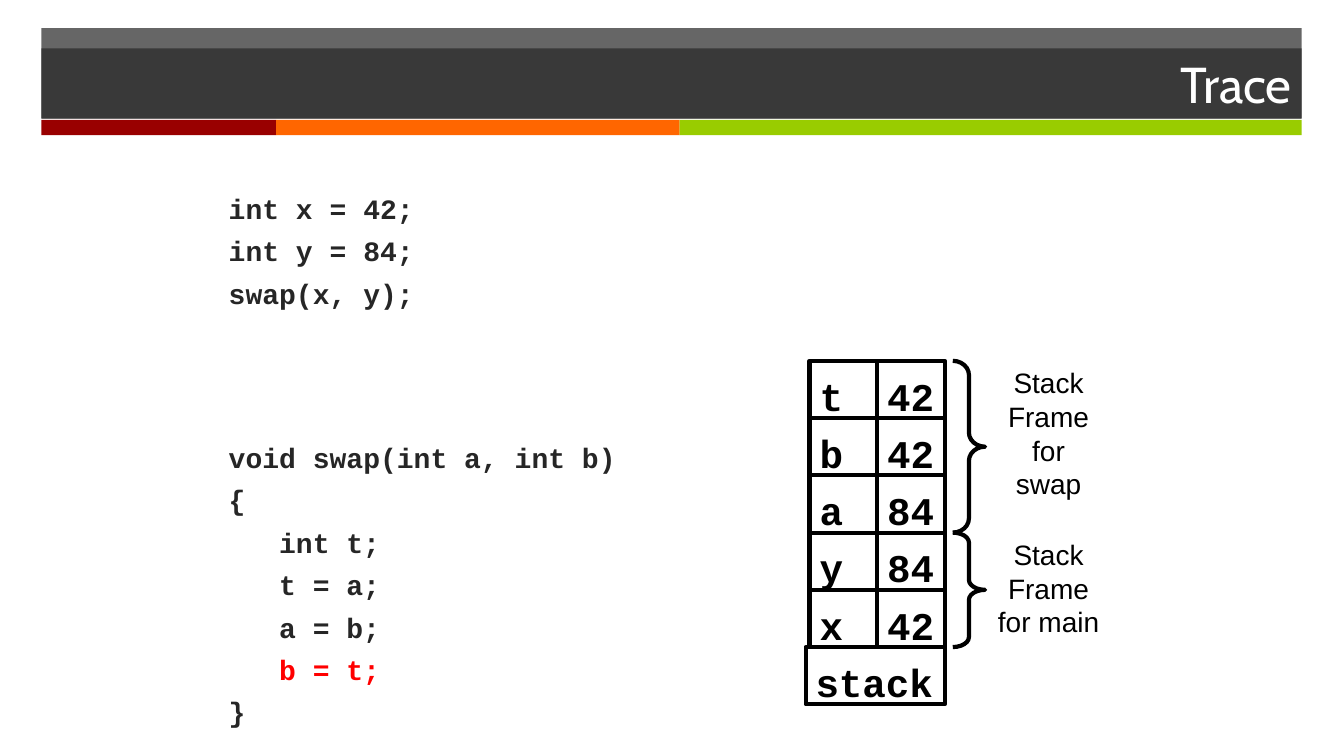
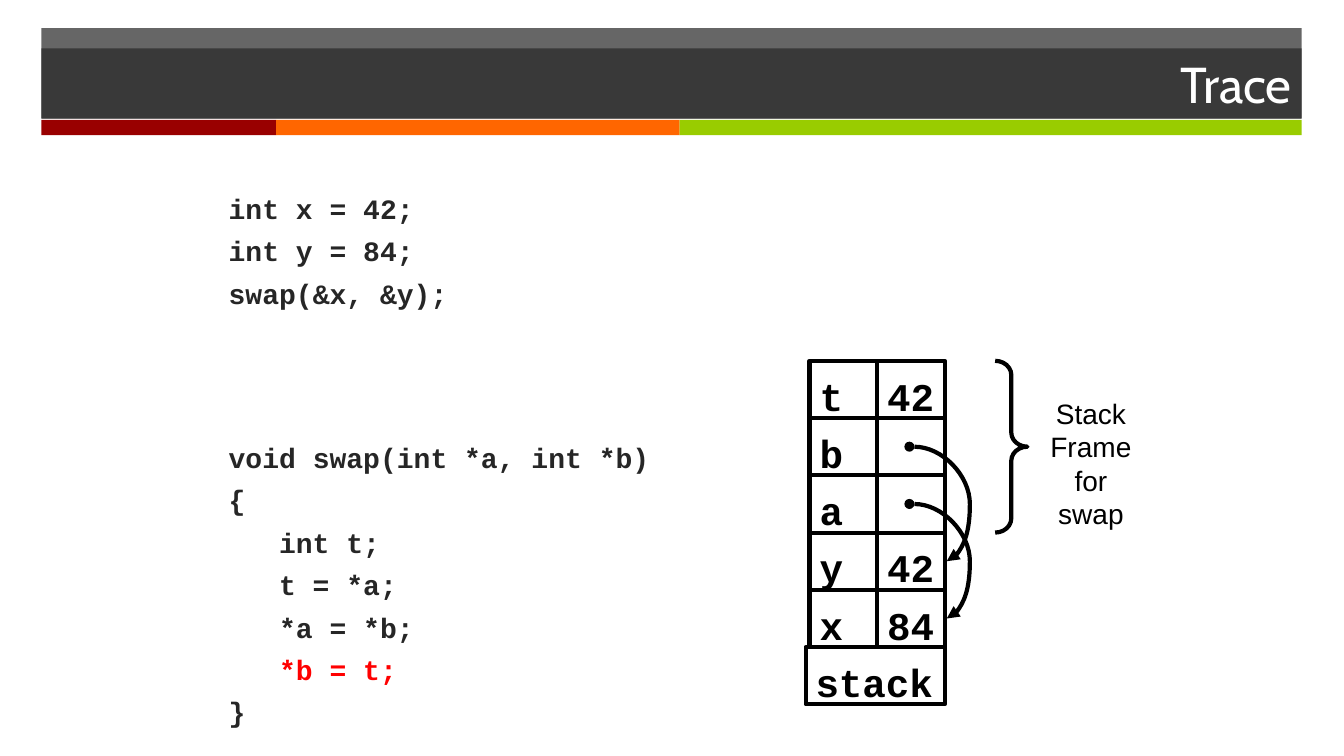
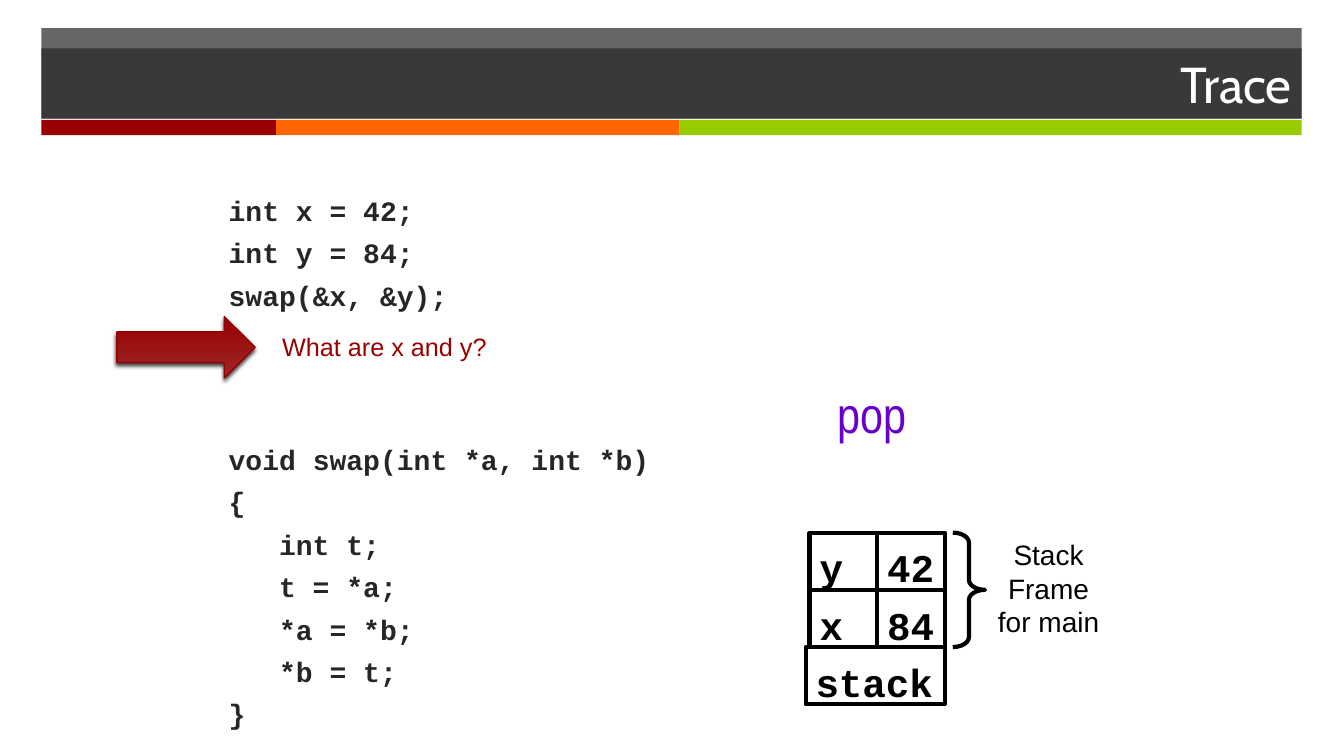
import pptx
import pptx.util
import pptx.dml.color
import pptx.enum.shapes
import pptx.enum.text
import pptx.oxml
import pptx.oxml.ns

Inches = pptx.util.Inches
Pt = pptx.util.Pt
SHAPE = pptx.enum.shapes.MSO_SHAPE
ALIGN = pptx.enum.text.PP_ALIGN
ANCHOR = pptx.enum.text.MSO_ANCHOR

COLORS = {
    "charcoal": "262626", "maroon": "990000", "orange": "FF6600",
    "lime": "99CC00", "white": "FFFFFF", "black": "000000",
    "red": "FF0000", "purple": "6600CC", "brick": "9D2828", "edge": "960000",
}
CODE_FONT = "Courier New"
LEFT, WIDTH = 0.41, 12.5
BANDS = [("maroon", 2.33), ("orange", 4), ("lime", 6.17)]
STACK_LEFT, STACK_BASE, COLUMN = 8.03, 6.42, 0.67
ROW = (STACK_BASE - 3.58) / 5
CODE_GAP, CODE_PITCH = 6.3, 28.96

VALUE_CODE = ["int x = 42;", "int y = 84;", "swap(x, y);",
              "void swap(int a, int b)", "{", "\tint t;", "\tt = a;",
              "\ta = b;", "\tb = t;", "}"]
POINTER_CODE = ["int x = 42;", "int y = 84;", "swap(&x, &y);",
                "void swap(int *a, int *b)", "{", "\tint t;", "\tt = *a;",
                "\t*a = *b;", "\t*b = t;", "}"]


def rgb(name):
    return pptx.dml.color.RGBColor.from_string(COLORS[name])


def add_xml(parent, tag, body="", **attributes):
    listed = "".join(f' {key}="{value}"' for key, value in attributes.items())
    element = pptx.oxml.parse_xml(
        f'<a:{tag} {pptx.oxml.ns.nsdecls("a")}{listed}>{body}</a:{tag}>')
    parent.append(element)


def add_shape(slide, kind, box, fill=None, line=None, weight=3, alpha=None):
    shape = slide.shapes.add_shape(kind, *map(Inches, box))
    shape.shadow.inherit = False
    if fill:
        shape.fill.solid()
        shape.fill.fore_color.rgb = rgb(fill)
    else:
        shape.fill.background()
    if alpha:
        color = shape.fill._xPr.find(".//" + pptx.oxml.ns.qn("a:srgbClr"))
        add_xml(color, "alpha", val=alpha * 1000)
    if line:
        shape.line.color.rgb = rgb(line)
        shape.line.width = Pt(weight)
    else:
        shape.line.fill.background()
    return shape


def write(shape, text, font, size, color, bold=False, align=ALIGN.LEFT,
          anchor=ANCHOR.TOP, wrap=False):
    frame = shape.text_frame
    frame.text = text
    frame.word_wrap = wrap
    frame.vertical_anchor = anchor
    for paragraph in frame.paragraphs:
        paragraph.alignment = align
        for run in paragraph.runs:
            run.font.name = font
            run.font.size = Pt(size)
            run.font.bold = bold
            run.font.color.rgb = rgb(color)
    return frame


def add_text(slide, box, *args, **options):
    return write(slide.shapes.add_textbox(*map(Inches, box)), *args, **options)


def add_header(slide, title):
    add_shape(slide, SHAPE.RECTANGLE, (LEFT, 0.28, WIDTH, 0.89), "charcoal", alpha=70)
    left = LEFT
    for color, width in BANDS:
        add_shape(slide, SHAPE.RECTANGLE, (left, 1.19, width, 0.15), color)
        left += width
    bar = add_shape(slide, SHAPE.RECTANGLE, (LEFT, 0.48, WIDTH, 0.7), "charcoal", alpha=70)
    write(bar, title, "Cabin", 36, "white", align=ALIGN.RIGHT, anchor=ANCHOR.MIDDLE, wrap=True)


def add_code(slide, lines, top=1.85, width=4.8, marked=None):
    frame = add_text(slide, (2.17, top, width, 5.58), "\n".join(lines),
                     CODE_FONT, 20, "charcoal", bold=True, wrap=True)
    for index, paragraph in enumerate(frame.paragraphs):
        starts_function = paragraph.text.startswith("void")
        paragraph.space_before = Pt(CODE_GAP + 3 * CODE_PITCH * starts_function)
        properties = paragraph._p.get_or_add_pPr()
        properties.set("marL", str(Inches(0.5)))
        properties.set("indent", str(Inches(-0.5)))
        if index == marked:
            paragraph.runs[0].font.color.rgb = rgb("red")


def row_top(row):
    return STACK_BASE - (row + 1) * ROW


def add_cell(slide, box, text):
    cell = add_shape(slide, SHAPE.RECTANGLE, box, line="black")
    if text:
        frame = write(cell, text, CODE_FONT, 28, "black", bold=True)
        frame.margin_top = Inches(0.11)


def add_stack(slide, variables):
    for row, pair in enumerate(variables):
        for column, text in enumerate(pair):
            left = STACK_LEFT + column * COLUMN
            add_cell(slide, (left, row_top(row), COLUMN, ROW), text)
    add_cell(slide, (7.99, STACK_BASE, 1.38, ROW), "stack")


def add_frame_brace(slide, function, top_row, rows, left=9.45, label_drop=0):
    top = row_top(top_row)
    brace = add_shape(slide, SHAPE.RIGHT_BRACE, (left, top, 0.32, rows * ROW), line="black")
    brace.adjustments[0] = 0.31 if rows == 2 else 0.44
    add_text(slide, (left + 0.34, top + label_drop, 1.22, 1.1),
             f"Stack\nFrame\nfor {function}", "Arial", 20, "black", align=ALIGN.CENTER)


def add_pointer(slide, source_row, target_row):
    start, end = (row_top(row) + ROW / 2 for row in (source_row, target_row))
    curve = slide.shapes.add_connector(
        pptx.enum.shapes.MSO_CONNECTOR.CURVE,
        *map(Inches, (9.07, start, 9.39, end)))
    curve.line.color.rgb = rgb("black")
    curve.line.width = Pt(3)
    add_xml(curve.line._get_or_add_ln(), "tailEnd", type="triangle")
    properties = curve._element.spPr
    add_xml(properties, "effectLst")
    geometry = properties.find(pptx.oxml.ns.qn("a:prstGeom"))
    for child in list(geometry):
        geometry.remove(child)
    add_xml(geometry, "avLst", '<a:gd name="adj1" fmla="val 171700"/>')
    add_shape(slide, SHAPE.OVAL, (8.97, start - 0.05, 0.1, 0.1), "black")


def add_question(slide, text):
    arrow = add_shape(slide, SHAPE.RIGHT_ARROW, (1.16, 3.14, 1.37, 0.61),
                      line="edge", weight=1)
    arrow.fill.gradient()
    arrow.fill.gradient_angle = 90
    for stop, color in zip(arrow.fill.gradient_stops, ("brick", "maroon")):
        stop.color.rgb = rgb(color)
    effects = arrow._element.spPr.find(pptx.oxml.ns.qn("a:effectLst"))
    add_xml(effects, "outerShdw",
            '<a:srgbClr val="000000"><a:alpha val="75000"/></a:srgbClr>',
            blurRad=Pt(3), dist=Pt(2), dir=110 * 60000)
    add_text(slide, (2.7, 3.24, 2.79, 0.4), text, "Arial", 18, "maroon", wrap=True)


def add_trace_slide(presentation):
    slide = presentation.slides.add_slide(presentation.slide_layouts[6])
    add_header(slide, "Trace")
    return slide


def main():
    presentation = pptx.Presentation()
    presentation.slide_width = Inches(13.33)
    presentation.slide_height = Inches(7.5)

    slide = add_trace_slide(presentation)
    add_code(slide, VALUE_CODE, width=4.41, marked=8)
    add_stack(slide, [("x", "42"), ("y", "84"), ("a", "84"), ("b", "42"), ("t", "42")])
    add_frame_brace(slide, "main", 1, 2)
    add_frame_brace(slide, "swap", 4, 3)

    slide = add_trace_slide(presentation)
    add_code(slide, POINTER_CODE, marked=8)
    add_stack(slide, [("x", "84"), ("y", "42"), ("a", ""), ("b", ""), ("t", "42")])
    add_frame_brace(slide, "swap", 4, 3, left=9.87, label_drop=0.3)
    add_pointer(slide, 2, 0)
    add_pointer(slide, 3, 1)

    slide = add_trace_slide(presentation)
    add_code(slide, POINTER_CODE, top=1.87)
    add_stack(slide, [("x", "84"), ("y", "42")])
    add_frame_brace(slide, "main", 1, 2)
    add_text(slide, (7.92, 3.75, 1.45, 1.41), "pop", "Arial Narrow", 36, "purple",
             align=ALIGN.CENTER)
    add_question(slide, "What are x and y?")

    presentation.save("out.pptx")


if __name__ == "__main__":
    main()
